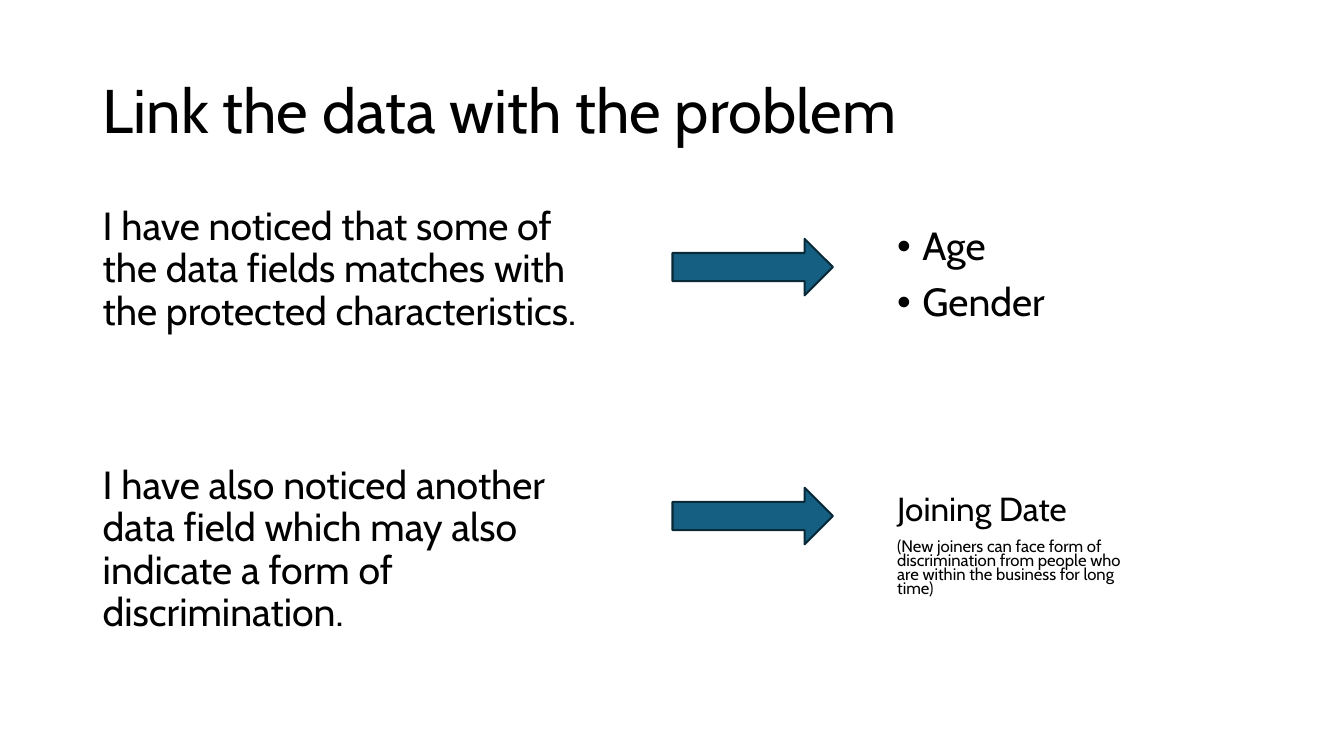
from pptx import Presentation
from pptx.dml.color import RGBColor
from pptx.enum import shapes, text
from pptx.oxml import parse_xml
from pptx.oxml.ns import nsdecls
from pptx.util import Inches, Pt

FONT = "Cabin"
LEFT, MID, RIGHT = 0.92, 6.67, 8.8


def color(code):
    return RGBColor.from_string(code)


def style(para, size, lines=0.9, before=10):
    para.alignment = text.PP_ALIGN.LEFT
    para.line_spacing = lines
    para.space_before = Pt(before)
    para.font.name = FONT
    para.font.size = Pt(size)
    para.font.color.rgb = color("000000")


def bullet(para):
    props = para._p.get_or_add_pPr()
    props.set("marL", str(Inches(0.25)))
    props.set("indent", str(-Inches(0.25)))
    props.append(parse_xml(f'<a:buFont {nsdecls("a")} typeface="Arial"/>'))
    props.append(parse_xml(f'<a:buChar {nsdecls("a")} char="•"/>'))


def add_title(slide, box, words):
    title = slide.shapes.title
    title.left, title.top, title.width, title.height = map(Inches, box)
    frame = title.text_frame
    frame.text = words
    frame.auto_size = text.MSO_AUTO_SIZE.NONE
    frame.vertical_anchor = text.MSO_ANCHOR.MIDDLE
    style(frame.paragraphs[0], 44, before=0)


def add_text(slide, box, items, lines=0.9, dots=False):
    """Place one paragraph for each (words, size) pair."""
    frame = slide.shapes.add_textbox(*map(Inches, box)).text_frame
    frame.word_wrap = True
    for i, (words, size) in enumerate(items):
        para = frame.add_paragraph() if i else frame.paragraphs[0]
        para.text = words
        style(para, size, lines)
        if dots:
            bullet(para)


def add_arrow(slide, box):
    arrow = slide.shapes.add_shape(
        shapes.MSO_SHAPE.RIGHT_ARROW, *map(Inches, box))
    arrow.shadow.inherit = False
    arrow.fill.solid()
    arrow.fill.fore_color.rgb = color("156082")
    arrow.line.color.rgb = color("092A39")
    arrow.line.width = Pt(1.5)


def add_row(slide, top, claim, arrow_top, field_box, fields, **look):
    """Link a claim on the left to its data fields on the right."""
    add_text(slide, (LEFT, top, 5.11, 1.8), [(claim, 28)])
    add_arrow(slide, (MID, arrow_top, 1.59, 0.56))
    add_text(slide, field_box, fields, **look)


def main():
    deck = Presentation()
    deck.slide_width, deck.slide_height = Inches(13.33), Inches(7.5)
    slide = deck.slides.add_slide(deck.slide_layouts.get_by_name("Title Only"))
    add_title(slide, (LEFT, 0.4, 11.5, 1.45), "Link the data with the problem")
    add_row(slide, 2,
            "I have noticed that some of the data fields matches with "
            "the protected characteristics.",
            2.37, (RIGHT, 2.2, 2.18, 1.14),
            [("Age", 28), ("Gender", 28)], dots=True)
    add_row(slide, 4.57,
            "I have also noticed another data field which may also "
            "indicate a form of discrimination.",
            4.84, (RIGHT, 4.9, 2.61, 1.14),
            [("Joining Date", 23.8),
             ("(New joiners can face form of discrimination from people "
              "who are within the business for long time)", 11.9)],
            lines=0.7)
    deck.save("out.pptx")


if __name__ == "__main__":
    main()
